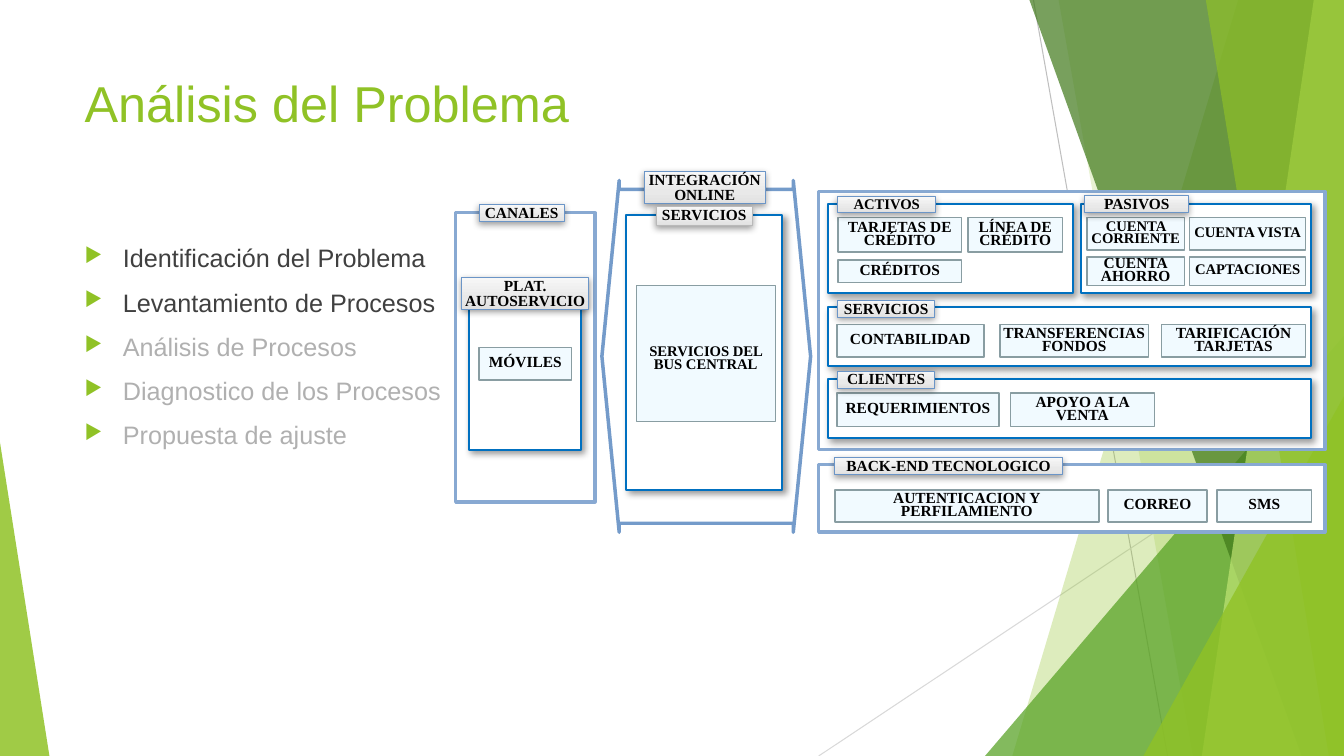
from dataclasses import dataclass, replace
from lxml.etree import SubElement as Sub
from pptx import Presentation
from pptx.dml.color import RGBColor as Rgb
from pptx.enum.shapes import MSO_CONNECTOR as Join, MSO_SHAPE as Form
from pptx.enum.text import MSO_ANCHOR as Anchor, MSO_AUTO_SIZE as Auto, PP_ALIGN as Align
from pptx.oxml.ns import qn
from pptx.shapes.autoshape import Shape
from pptx.shapes.shapetree import SlideShapes as Shapes
from pptx.text.text import TextFrame as Frame
from pptx.util import Inches, Pt

HUES = {
    "white": "FFFFFF", "black": "000000", "dark": "404040", "dim": "B0B0B0",
    "green": "90C226", "leaf": "54A021", "moss": "3F7819", "lime": "C0E474",
    "ray": "BFBFBF", "pale": "D9D9D9", "steel": "88A9D2", "arrow": "749BCA",
    "blue": "0070C0", "ice": "CCECFF", "slate": "899DA2", "edge": "6B95C7",
    "ash": "B9B9B9", "low": "E1E1E1", "mid": "E9E9E9", "high": "F7F7F7",
}
WIDE, TALL = 13.33, 7.5


@dataclass
class Band:
    top: float
    foot: float
    hue: str
    alpha: int


@dataclass
class Wedge:
    x: float
    y: float
    w: float
    h: float
    tip: int
    hue: str
    alpha: int


@dataclass
class Shade:
    alpha: int
    blur: float
    gap: float
    angle: int


@dataclass
class Style:
    fill: str
    line: str
    thick: float
    alpha: int = 100
    shade: Shade | None = None
    lead: float = 0.7
    top: float = 0
    foot: float = 0
    grow: bool = False


@dataclass
class Box:
    x: float
    w: float
    text: str = ""
    size: float = 11


@dataclass
class Row:
    style: Style
    y: float
    h: float
    boxes: list[Box]


OUTER = Style("white", "steel", 2.5)
OPEN = replace(OUTER, fill="")
ARROW = replace(OPEN, line="arrow")
PANE = Style("white", "blue", 1.5, shade=Shade(40, 5, 3, 45))
CELL = Style("ice", "slate", 1, alpha=26)
BUS = replace(CELL, top=0.12)
LABEL = Style("fade", "edge", 0.5, shade=Shade(38, 5, 1.6, 90), lead=0.8, top=0.02, grow=True)
GREY = replace(LABEL, line="ash", thick=0.75, foot=0.02)

DECOR = [
    Band(12.28, 10.04, "green", 30),
    Band(10.5, 11.83, "green", 20),
    Wedge(9.77, 3.33, 3.56, 4.17, 1, "leaf", 72),
    Band(10.21, 12.91, "moss", 70),
    Band(13.03, 11.92, "lime", 70),
    Band(11.96, 13.18, "green", 65),
    Wedge(11.34, 3.93, 1.99, 3.57, 1, "green", 80),
    Wedge(0, 4.39, 0.49, 3.11, 0, "green", 85),
]
RAYS = [(10.25, 0, 11.58, TALL, "ray"), (WIDE, 4.03, 8.12, TALL, "pale")]
ITEMS = [
    ("Identificación del Problema", "dark"),
    ("Levantamiento de Procesos", "dark"),
    ("Análisis de Procesos", "dim"),
    ("Diagnostico de los Procesos", "dim"),
    ("Propuesta de ajuste", "dim"),
]
ROWS = [
    Row(OUTER, 1.9, 2.56, [Box(8.12, 5.02)]),
    Row(OUTER, 4.61, 0.67, [Box(8.12, 5.02)]),
    Row(OPEN, 2.11, 2.87, [Box(4.52, 1.38)]),
    Row(PANE, 3.05, 0.58, [Box(8.21, 4.79)]),
    Row(PANE, 3.76, 0.59, [Box(8.21, 4.79)]),
    Row(PANE, 2.02, 0.89, [Box(8.21, 2.43), Box(10.72, 2.28)]),
    Row(PANE, 2.13, 2.73, [Box(6.21, 1.55)]),
    Row(PANE, 2.87, 1.59, [Box(4.65, 1.11)]),
    Row(CELL, 2.16, 0.34, [Box(8.31, 1.23, "TARJETAS DE CRÉDITO"), Box(9.6, 0.94, "LÍNEA DE CRÉDITO")]),
    Row(CELL, 2.16, 0.32, [Box(10.78, 0.97, "CUENTA CORRIENTE", 10.5), Box(11.8, 1.15, "CUENTA VISTA", 10.5)]),
    Row(CELL, 2.55, 0.28, [Box(10.78, 0.97, "CUENTA\nAHORRO"), Box(11.8, 1.15, "CAPTACIONES", 10.5)]),
    Row(CELL, 2.58, 0.22, [Box(8.31, 1.23, "CRÉDITOS")]),
    Row(CELL, 3.22, 0.32, [Box(8.3, 1.46, "CONTABILIDAD"), Box(9.92, 1.47, "TRANSFERENCIAS\nFONDOS"),
                           Box(11.52, 1.43, "TARIFICACIÓN TARJETAS")]),
    Row(CELL, 3.9, 0.33, [Box(8.3, 1.61, "REQUERIMIENTOS"), Box(10.02, 1.43, "APOYO A LA VENTA")]),
    Row(CELL, 4.86, 0.32, [Box(8.28, 2.62, "AUTENTICACION Y\nPERFILAMIENTO"), Box(10.99, 0.98, "CORREO"),
                           Box(12.07, 0.94, "SMS")]),
    Row(CELL, 3.45, 0.32, [Box(4.75, 0.92, "MÓVILES")]),
    Row(BUS, 2.83, 1.35, [Box(6.31, 1.38, "SERVICIOS DEL BUS CENTRAL", 10.5)]),
    Row(LABEL, 2.03, 0.17, [Box(4.75, 0.85, "CANALES")]),
    Row(LABEL, 2.75, 0.32, [Box(4.58, 1.26, "PLAT. AUTOSERVICIO")]),
    Row(LABEL, 1.7, 0.32, [Box(6.39, 1.2, "INTEGRACIÓN ONLINE")]),
    Row(GREY, 2.05, 0.19, [Box(6.51, 0.95, "SERVICIOS")]),
    Row(LABEL, 1.95, 0.16, [Box(8.31, 0.97, "ACTIVOS", 10.5)]),
    Row(LABEL, 1.94, 0.17, [Box(10.76, 1.03, "PASIVOS")]),
    Row(LABEL, 2.98, 0.17, [Box(8.31, 0.96, "SERVICIOS")]),
    Row(LABEL, 3.68, 0.17, [Box(8.31, 0.96, "CLIENTES")]),
    Row(LABEL, 4.54, 0.17, [Box(8.28, 2.26, "BACK-END TECNOLOGICO")]),
]


def tint(name: str) -> Rgb:
    return Rgb.from_string(HUES[name])


def paint(shape: Shape, hue: str, alpha: int) -> None:
    shape.shadow.inherit = False
    shape.fill.solid()
    shape.fill.fore_color.rgb = tint(hue)
    if alpha < 100:
        color = shape.element.spPr.find(qn("a:solidFill"))[0]
        Sub(color, qn("a:alpha"), val=str(alpha * 1000))


def fade(shape: Shape) -> None:
    shape.fill.gradient()
    grad = shape.element.spPr.find(qn("a:gradFill"))
    stops = grad.find(qn("a:gsLst"))
    stops.clear()
    for spot, hue in ((0, "low"), (35, "mid"), (100, "high")):
        stop = Sub(stops, qn("a:gs"), pos=str(spot * 1000))
        Sub(stop, qn("a:srgbClr"), val=HUES[hue])
    grad.find(qn("a:lin")).set("ang", str(270 * 60000))


def cast(shape: Shape, shade: Shade) -> None:
    drop = Sub(shape.element.spPr.find(qn("a:effectLst")), qn("a:outerShdw"),
               blurRad=str(Pt(shade.blur)), dist=str(Pt(shade.gap)),
               dir=str(shade.angle * 60000), rotWithShape="0")
    Sub(Sub(drop, qn("a:srgbClr"), val=HUES["black"]), qn("a:alpha"), val=str(shade.alpha * 1000))


def write(frame: Frame, box: Box, style: Style) -> None:
    frame.text = box.text
    frame.word_wrap = True
    frame.vertical_anchor = Anchor.MIDDLE
    frame.auto_size = Auto.SHAPE_TO_FIT_TEXT if style.grow else Auto.NONE
    frame.margin_left = frame.margin_right = Inches(0.02)
    frame.margin_top, frame.margin_bottom = Inches(style.top), Inches(style.foot)
    for line in frame.paragraphs:
        line.alignment = Align.CENTER
        line.line_spacing = style.lead
        font = line.font
        font.name, font.size, font.bold = "Times New Roman", Pt(box.size), True
        font.color.rgb = tint("black")


def block(shapes: Shapes, form: Form, row: Row, box: Box) -> Shape:
    style = row.style
    shape = shapes.add_shape(form, Inches(box.x), Inches(row.y), Inches(box.w), Inches(row.h))
    shape.shadow.inherit = False
    if style.fill == "fade":
        fade(shape)
    elif style.fill:
        paint(shape, style.fill, style.alpha)
    else:
        shape.fill.background()
    shape.line.color.rgb = tint(style.line)
    shape.line.width = Pt(style.thick)
    if style.shade:
        cast(shape, style.shade)
    if box.text:
        write(shape.text_frame, box, style)
    return shape


def adorn(shapes: Shapes, item: Band | Wedge) -> None:
    if isinstance(item, Band):
        pen = shapes.build_freeform(Inches(item.top), 0)
        ends = [(WIDE, 0), (WIDE, TALL), (item.foot, TALL)]
        pen.add_line_segments([(Inches(x), Inches(y)) for x, y in ends])
        shape = pen.convert_to_shape()
    else:
        shape = shapes.add_shape(Form.ISOSCELES_TRIANGLE, Inches(item.x), Inches(item.y),
                                 Inches(item.w), Inches(item.h))
        shape.adjustments[0] = item.tip
    paint(shape, item.hue, item.alpha)
    shape.line.fill.background()


def prose(shapes: Shapes, y: float, w: float, h: float, items: list[tuple[str, str]],
          size: int, listed: bool) -> None:
    frame = shapes.add_textbox(Inches(0.74), Inches(y), Inches(w), Inches(h)).text_frame
    frame.word_wrap = True
    frame.text = "\n".join(text for text, _ in items)
    for rank, (line, (_, hue)) in enumerate(zip(frame.paragraphs, items)):
        if listed:
            props = line._p.get_or_add_pPr()
            props.set("marL", str(Inches(0.38)))
            props.set("indent", str(-Inches(0.38)))
            Sub(Sub(props, qn("a:buClr")), qn("a:srgbClr"), val=HUES["green"])
            Sub(props, qn("a:buSzPct"), val="80000")
            Sub(props, qn("a:buChar"), char="▶")
        if rank:
            line.space_before = Pt(10)
        line.font.name, line.font.size = "Arial", Pt(size)
        line.font.color.rgb = tint(hue)


def main() -> None:
    deck = Presentation()
    deck.slide_width, deck.slide_height = Inches(WIDE), Inches(TALL)
    shapes = deck.slides.add_slide(deck.slide_layouts[6]).shapes
    for *ends, hue in RAYS:
        ray = shapes.add_connector(Join.STRAIGHT, *map(Inches, ends))
        ray.line.color.rgb = tint(hue)
        ray.line.width = Pt(0.75)
        Sub(ray._element.spPr, qn("a:effectLst"))
    for item in DECOR:
        adorn(shapes, item)
    prose(shapes, 0.67, 9.4, 1.44, [("Análisis del Problema", "green")], 36, False)
    prose(shapes, 2.36, 4.58, 4.73, ITEMS, 18, True)
    arrow = block(shapes, Form.LEFT_RIGHT_ARROW, Row(ARROW, 1.79, 3.49, []), Box(5.97, 2.07))
    arrow.adjustments[0], arrow.adjustments[1] = 0.949, 0.083
    for row in ROWS:
        for box in row.boxes:
            block(shapes, Form.RECTANGLE, row, box)
    deck.save("out.pptx")


if __name__ == "__main__":
    main()
